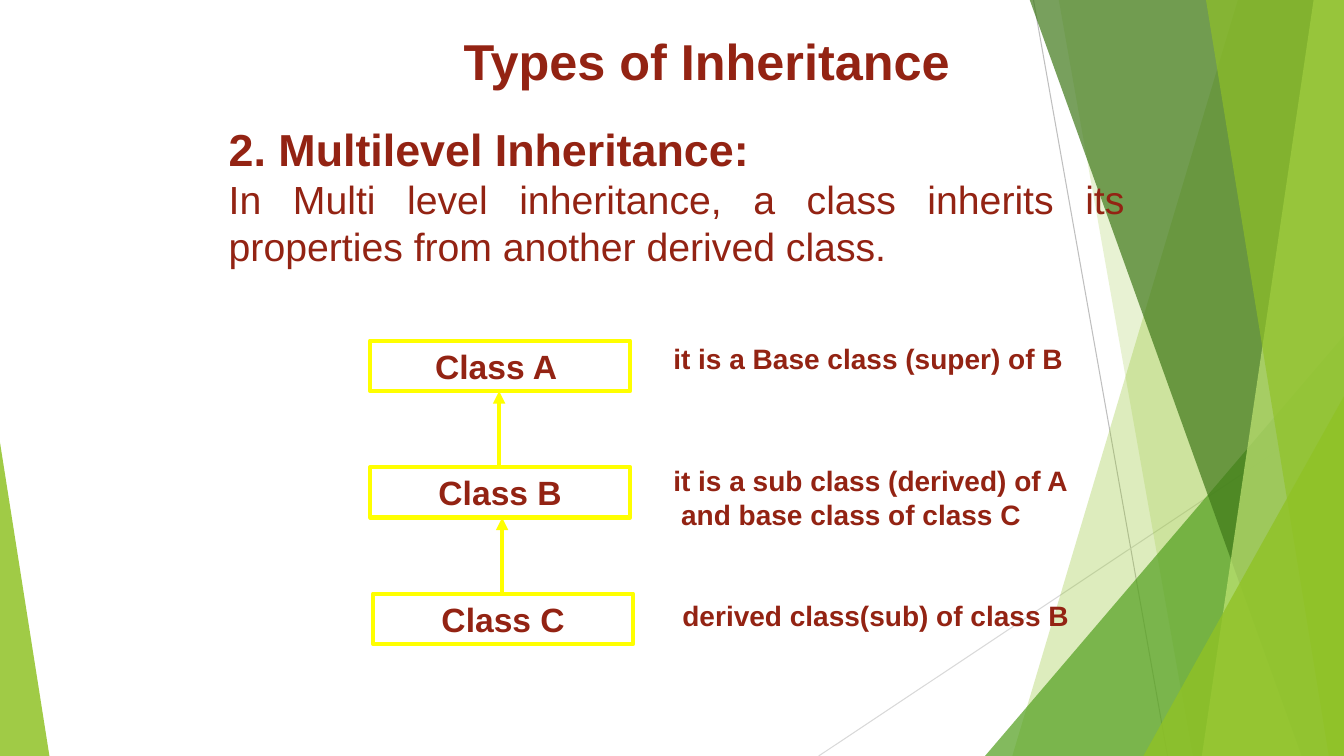
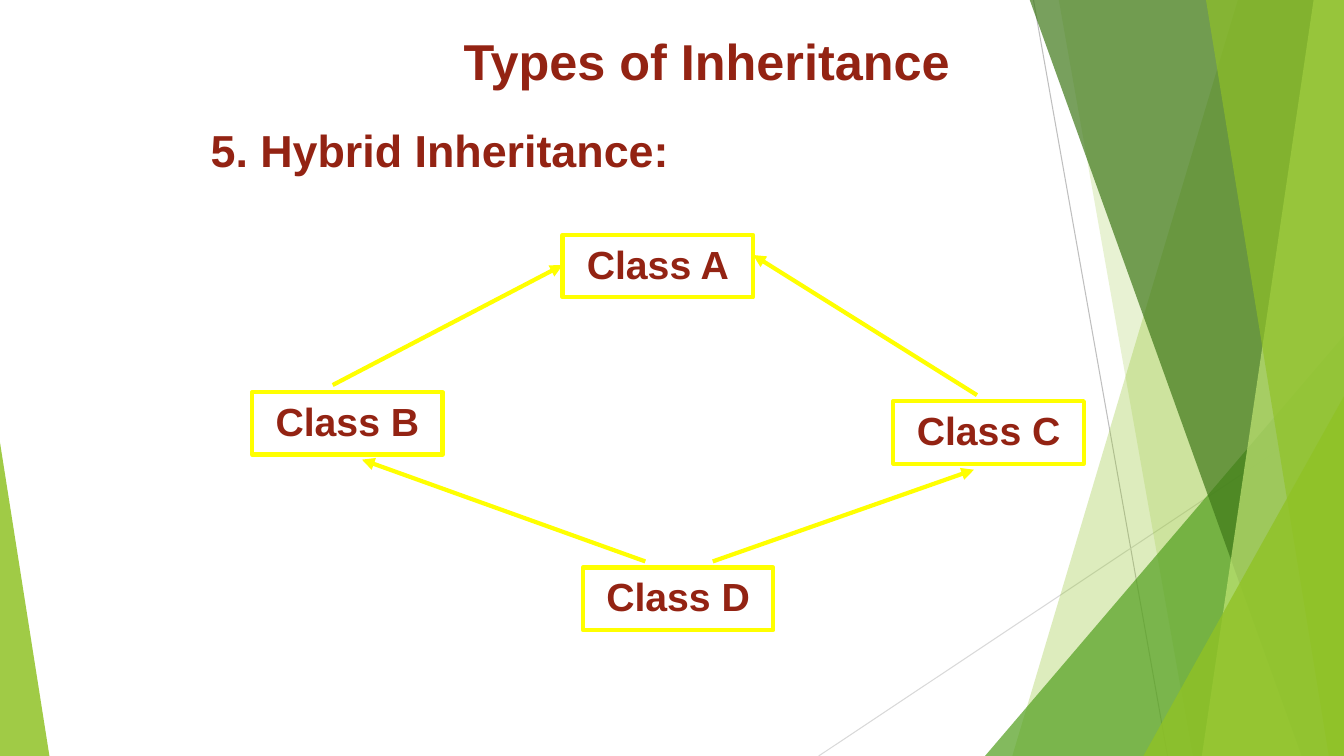
from lxml.etree import SubElement
from pptx import Presentation
from pptx.dml.color import RGBColor
from pptx.enum.shapes import MSO_CONNECTOR, MSO_SHAPE
from pptx.enum.text import MSO_ANCHOR, MSO_AUTO_SIZE, PP_ALIGN
from pptx.oxml.ns import qn
from pptx.util import Inches, Pt

WIDTH, HEIGHT, BLEED = 13.33, 7.5, -0.01
FONT = "Arial"
TEXT, YELLOW, WHITE = "932313", "FFFF00", "FFFFFF"
LIME, GREEN, DARK, PALE = "90C226", "54A021", "3F7819", "C0E474"

# Decoration: bands (top x, bottom x, ...) run to the right edge,
# triangles (apex side, left, top, width, ...) stand on the bottom edge
LINES = [((10.25, 0), (11.58, HEIGHT), "BFBFBF"),
         ((WIDTH, 4.03), (8.12, HEIGHT), "D9D9D9")]
FACETS = [
    ("band", 12.28, 10.04, LIME, 30),
    ("band", 10.5, 11.83, LIME, 20),
    ("triangle", 1, 9.77, 3.33, 3.56, GREEN, 72),
    ("band", 10.21, 12.91, DARK, 70),
    ("band", 13.03, 11.92, PALE, 70),
    ("band", 11.96, 13.18, LIME, 65),
    ("triangle", 1, 11.34, 3.93, 1.99, LIME, 80),
    ("triangle", 0, 0, 4.39, 0.49, LIME, 85),
]


def rgb(value):
    return RGBColor.from_string(value)


def fill_facet(sp, color, opacity):
    sp.shadow.inherit = False
    sp.line.fill.background()
    sp.fill.solid()
    sp.fill.fore_color.rgb = rgb(color)
    clr = sp.fill._xPr.find(qn("a:solidFill"))[0]
    SubElement(clr, qn("a:alpha")).set("val", str(opacity * 1000))


def add_band(s, top_x, bottom_x, color, opacity):
    corners = [(WIDTH, BLEED), (WIDTH, HEIGHT), (bottom_x, HEIGHT)]
    builder = s.shapes.build_freeform(Inches(top_x), Inches(BLEED))
    builder.add_line_segments([(Inches(x), Inches(y)) for x, y in corners])
    fill_facet(builder.convert_to_shape(), color, opacity)


def add_triangle(s, apex, left, top, width, color, opacity):
    sp = s.shapes.add_shape(MSO_SHAPE.ISOSCELES_TRIANGLE, Inches(left),
                            Inches(top), Inches(width), Inches(HEIGHT - top))
    sp.adjustments[0] = apex
    fill_facet(sp, color, opacity)


def add_line(s, start, end, color, weight, arrow=False):
    x1, y1, x2, y2 = [Inches(v) for v in (*start, *end)]
    line = s.shapes.add_connector(MSO_CONNECTOR.STRAIGHT, x1, y1, x2, y2)
    line.line.color.rgb = rgb(color)
    line.line.width = Pt(weight)
    if arrow:
        SubElement(line.line._get_or_add_ln(), qn("a:tailEnd")).set("type", "triangle")
    SubElement(line._element.spPr, qn("a:effectLst"))


def add_arrow(s, start, end):
    add_line(s, start, end, YELLOW, 3, arrow=True)


def write(p, text, size, bold=True, align=PP_ALIGN.LEFT):
    p.alignment = align
    r = p.add_run()
    r.text = text
    r.font.name = FONT
    r.font.size = Pt(size)
    r.font.bold = bold
    r.font.color.rgb = rgb(TEXT)


def add_text(s, box, paragraphs, wrap=False, anchor=MSO_ANCHOR.TOP):
    """Each paragraph is the tuple of arguments for write()."""
    tf = s.shapes.add_textbox(*[Inches(v) for v in box]).text_frame
    tf.word_wrap = wrap
    tf.auto_size = MSO_AUTO_SIZE.SHAPE_TO_FIT_TEXT
    tf.vertical_anchor = anchor
    for i, paragraph in enumerate(paragraphs):
        write(tf.add_paragraph() if i else tf.paragraphs[0], *paragraph)


def add_class_box(s, box, text, size):
    sp = s.shapes.add_shape(MSO_SHAPE.RECTANGLE, *[Inches(v) for v in box])
    sp.shadow.inherit = False
    sp.fill.background()
    sp.line.color.rgb = rgb(YELLOW)
    sp.line.width = Pt(3)
    tf = sp.text_frame
    tf.word_wrap = True
    tf.vertical_anchor = MSO_ANCHOR.TOP
    p = tf.paragraphs[0]
    p.space_after = Pt(10)
    write(p, text, size, align=PP_ALIGN.CENTER)


def new_slide(prs):
    s = prs.slides.add_slide(prs.slide_layouts[6])
    s.background.fill.solid()
    s.background.fill.fore_color.rgb = rgb(WHITE)
    for start, end, color in LINES:
        add_line(s, start, end, color, 0.75)
    for kind, *facet in FACETS:
        (add_band if kind == "band" else add_triangle)(s, *facet)
    add_text(s, (4.5, 0.25, 5.07, 0.71), [("Types of Inheritance", 36)])
    return s


def add_class_chain(s, left, top):
    """Three stacked classes, each pointing up to its base class."""
    width, height, step = 2.58, 0.5, 1.255
    for i, (name, dx) in enumerate([("Class A ", 0), ("Class B", 0), ("Class C", 0.03)]):
        y = top + i * step
        add_class_box(s, (left + dx, y, width, height), name, 24)
        if i:
            x = left + dx + 1.28
            add_arrow(s, (x, y), (x, y - step + height))


def multilevel_slide(prs):
    s = new_slide(prs)
    add_text(s, (2.17, 1.16, 9.08, 1.58), [
        ("2. Multilevel Inheritance:", 32),
        ("In Multi level inheritance, a class inherits its properties "
         "from another derived class.", 28, False, PP_ALIGN.JUSTIFY),
    ], wrap=True)
    add_class_chain(s, 3.67, 3.38)
    # Role of each class
    add_text(s, (6.58, 3.33, 4.17, 0.44), [("it is a Base class (super) of B", 20)],
             wrap=True, anchor=MSO_ANCHOR.MIDDLE)
    add_text(s, (6.58, 4.55, 4.14, 0.77), [("it is a sub class (derived) of A", 20),
                                           (" and base class of class C", 20)])
    add_text(s, (6.67, 5.89, 4.06, 0.44), [("derived class(sub) of class B", 20)])


def add_class_diamond(s, left, top):
    """Class D derives from B and C, which both derive from A."""
    boxes = [("Class A", 3.08, 0), ("Class B", 0, 1.56),
             ("Class D", 3.28, 3.3), ("Class C", 6.36, 1.65)]
    arrows = [((3.9, 3.24), (1.09, 2.23)), ((4.57, 3.24), (7.16, 2.33)),
              ((7.19, 1.59), (4.97, 0.2)), ((0.8, 1.49), (3.08, 0.3))]
    for name, x, y in boxes:
        add_class_box(s, (left + x, top + y, 1.89, 0.62), name, 28)
    for ends in arrows:
        add_arrow(s, *[(left + x, top + y) for x, y in ends])


def hybrid_slide(prs):
    s = new_slide(prs)
    add_class_diamond(s, 2.5, 2.33)
    add_text(s, (1.99, 1.17, 4.78, 0.64),
             [("5. Hybrid Inheritance:", 32, True, PP_ALIGN.JUSTIFY)])


def main():
    prs = Presentation()
    prs.slide_width, prs.slide_height = Inches(WIDTH), Inches(HEIGHT)
    multilevel_slide(prs)
    hybrid_slide(prs)
    prs.save("out.pptx")


if __name__ == "__main__":
    main()
